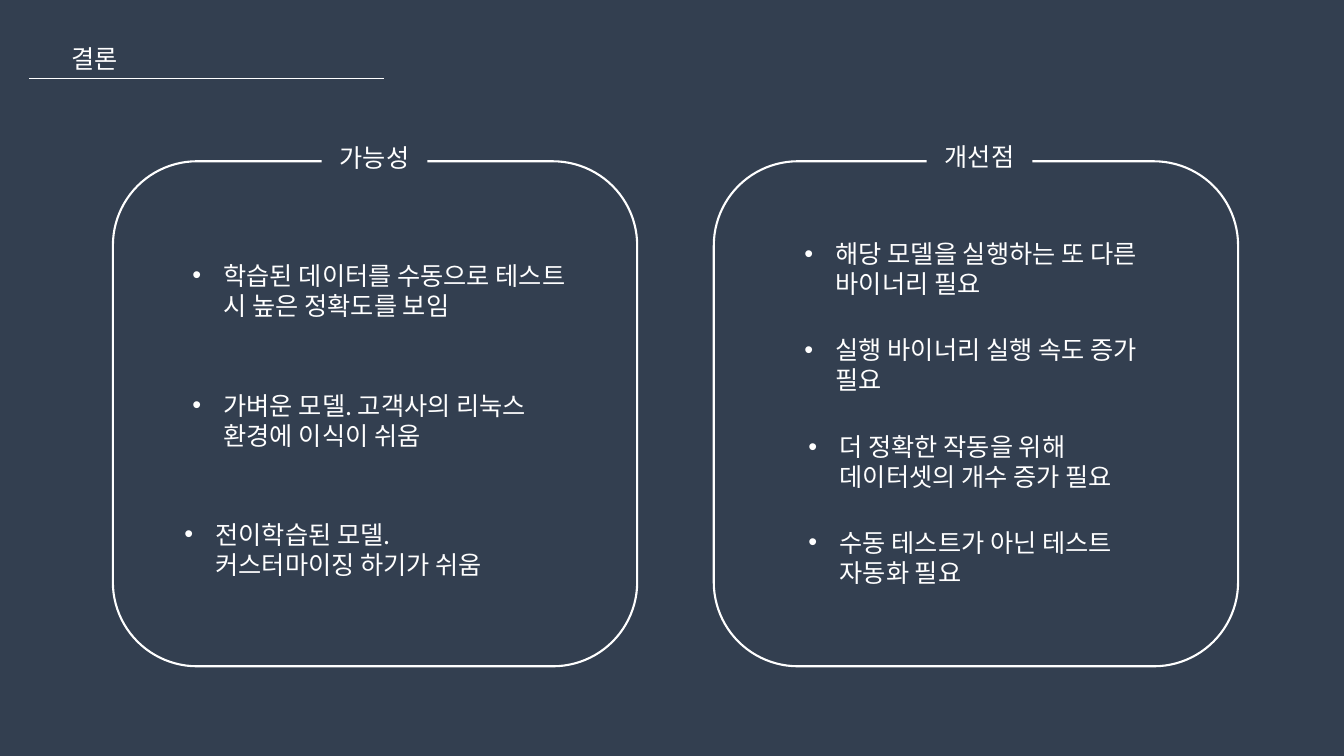
"""Builds the conclusion slide with two framed lists of findings."""
from dataclasses import dataclass

from lxml import etree
from pptx import Presentation, util as u
from pptx.dml.color import RGBColor
from pptx.enum import shapes, text
from pptx.oxml import ns

PX = 9144


@dataclass(frozen=True)
class Theme:
    background: RGBColor = RGBColor(0x33, 0x3F, 0x50)
    foreground: RGBColor = RGBColor(0xFF, 0xFF, 0xFF)
    font: str = "Noto Sans CJK KR"
    size: float = 18
    line_pitch: float = 21.5
    rule: float = 0.5
    frame: float = 1.5


class SlideBuilder:
    def __init__(self, presentation, theme):
        self.theme = theme
        self.slide = presentation.slides.add_slide(presentation.slide_layouts[5])
        fill = self.slide.background.fill
        fill.solid()
        fill.fore_color.rgb = theme.background

    def box(self, left, top, width, height):
        return [u.Emu(value * PX) for value in (left, top, width, height)]

    def set_text(self, shape, content, align=text.PP_ALIGN.LEFT, bullet=False):
        frame = shape.text_frame
        frame.text = content
        frame.word_wrap = True
        frame.auto_size = text.MSO_AUTO_SIZE.SHAPE_TO_FIT_TEXT
        frame.vertical_anchor = text.MSO_ANCHOR.TOP
        paragraph = frame.paragraphs[0]
        paragraph.alignment = align
        paragraph.line_spacing = u.Pt(self.theme.line_pitch)
        paragraph.space_before = u.Pt(0)
        if bullet:
            self.add_bullet(paragraph)
        for run in paragraph.runs:
            run.font.name = self.theme.font
            run.font.size = u.Pt(self.theme.size)
            run.font.color.rgb = self.theme.foreground
            east_asian = etree.SubElement(run.font._element, ns.qn("a:ea"))
            east_asian.set("typeface", self.theme.font)

    def add_bullet(self, paragraph):
        properties = paragraph._p.get_or_add_pPr()
        properties.set("marL", str(31 * PX))
        properties.set("indent", str(-31 * PX))
        etree.SubElement(properties, ns.qn("a:buFont")).set("typeface", "Arial")
        etree.SubElement(properties, ns.qn("a:buChar")).set("char", "•")

    def title(self, content, *bounds):
        shape = self.slide.shapes.title
        shape.left, shape.top, shape.width, shape.height = self.box(*bounds)
        self.set_text(shape, content)

    def rule(self, left, right, top):
        start, y, end, _ = self.box(left, top, right, 0)
        line = self.slide.shapes.add_connector(shapes.MSO_CONNECTOR.STRAIGHT, start, y, end, y)
        line.line.color.rgb = self.theme.foreground
        line.line.width = u.Pt(self.theme.rule)
        etree.SubElement(line._element.spPr, ns.qn("a:effectLst"))

    def frame(self, *bounds):
        shape = self.slide.shapes.add_shape(shapes.MSO_SHAPE.ROUNDED_RECTANGLE, *self.box(*bounds))
        shape.shadow.inherit = False
        shape.fill.background()
        shape.line.color.rgb = self.theme.foreground
        shape.line.width = u.Pt(self.theme.frame)

    def label(self, content, *bounds):
        shape = self.slide.shapes.add_shape(shapes.MSO_SHAPE.RECTANGLE, *self.box(*bounds))
        shape.shadow.inherit = False
        shape.fill.solid()
        shape.fill.fore_color.rgb = self.theme.background
        shape.line.fill.background()
        self.set_text(shape, content, text.PP_ALIGN.CENTER)

    def bullet(self, content, *bounds):
        shape = self.slide.shapes.add_textbox(*self.box(*bounds))
        self.set_text(shape, content, bullet=True)


PANELS = [
    (112, "가능성", 319, 136, 253, 128.5, [
        ("학습된 데이터를 수동으로 테스트 시 높은 정확도를 보임", 181, 396),
        ("가벼운 모델. 고객사의 리눅스 환경에 이식이 쉬움", 181, 360),
        ("전이학습된 모델. 커스터마이징 하기가 쉬움", 173, 360),
    ]),
    (708, "개선점", 919, 135, 232, 95.4, [
        ("해당 모델을 실행하는 또 다른 바이너리 필요", 788, 360),
        ("실행 바이너리 실행 속도 증가 필요", 788, 360),
        ("더 정확한 작동을 위해 데이터셋의 개수 증가 필요", 792, 371),
        ("수동 테스트가 아닌 테스트 자동화 필요", 792, 371),
    ]),
]


def main():
    presentation = Presentation()
    presentation.slide_width = u.Emu(1333 * PX)
    presentation.slide_height = u.Emu(750 * PX)
    builder = SlideBuilder(presentation, Theme())
    builder.title("결론", 61, 38, 639, 40)
    builder.rule(29, 381, 78)
    for frame_left, heading, label_left, label_top, first_top, pitch, items in PANELS:
        builder.frame(frame_left, 160, 520, 501)
        builder.label(heading, label_left, label_top, 105, 40)
        for index, (content, left, width) in enumerate(items):
            builder.bullet(content, left, round(first_top + index * pitch), width, 71)
    presentation.save("out.pptx")


if __name__ == "__main__":
    main()
